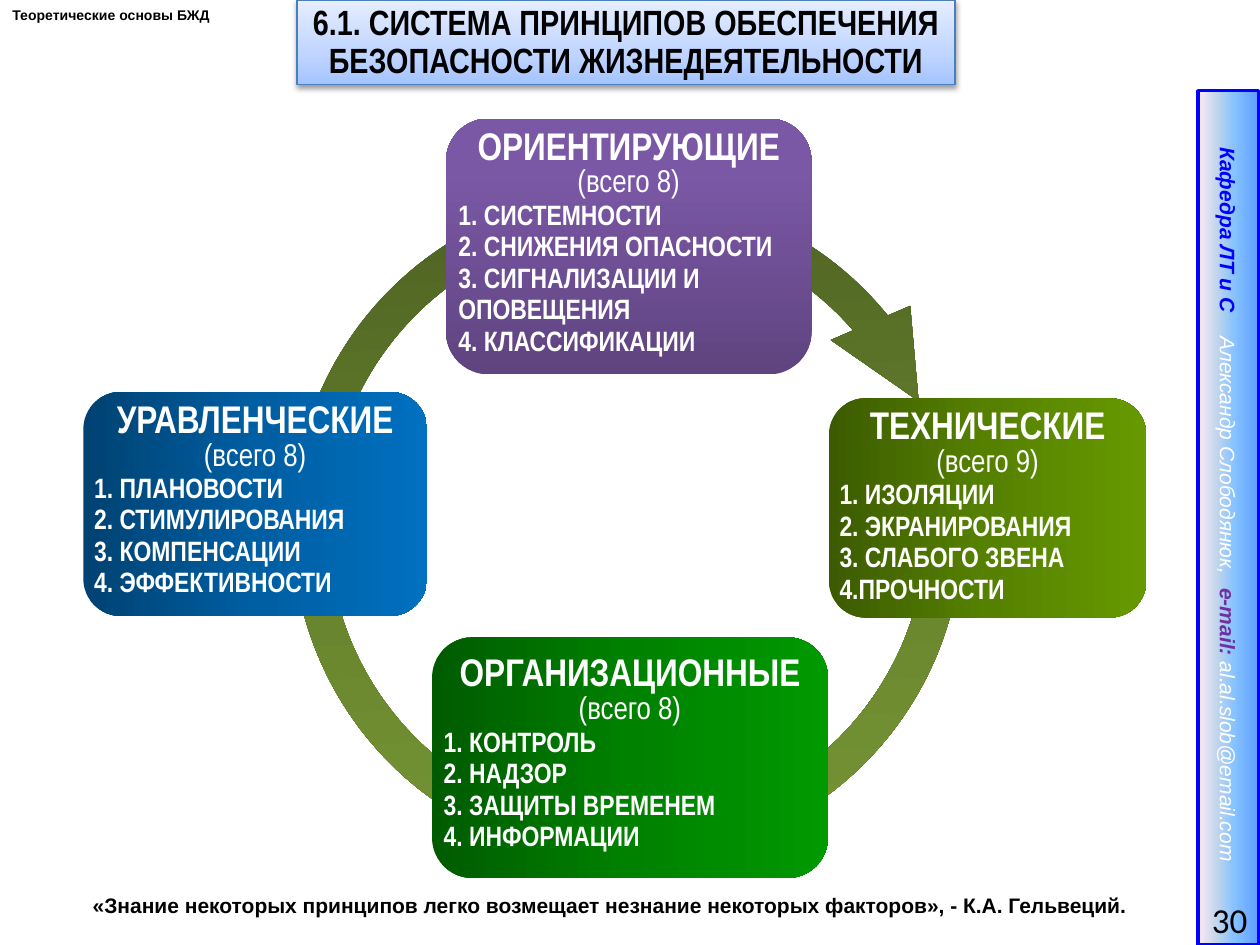
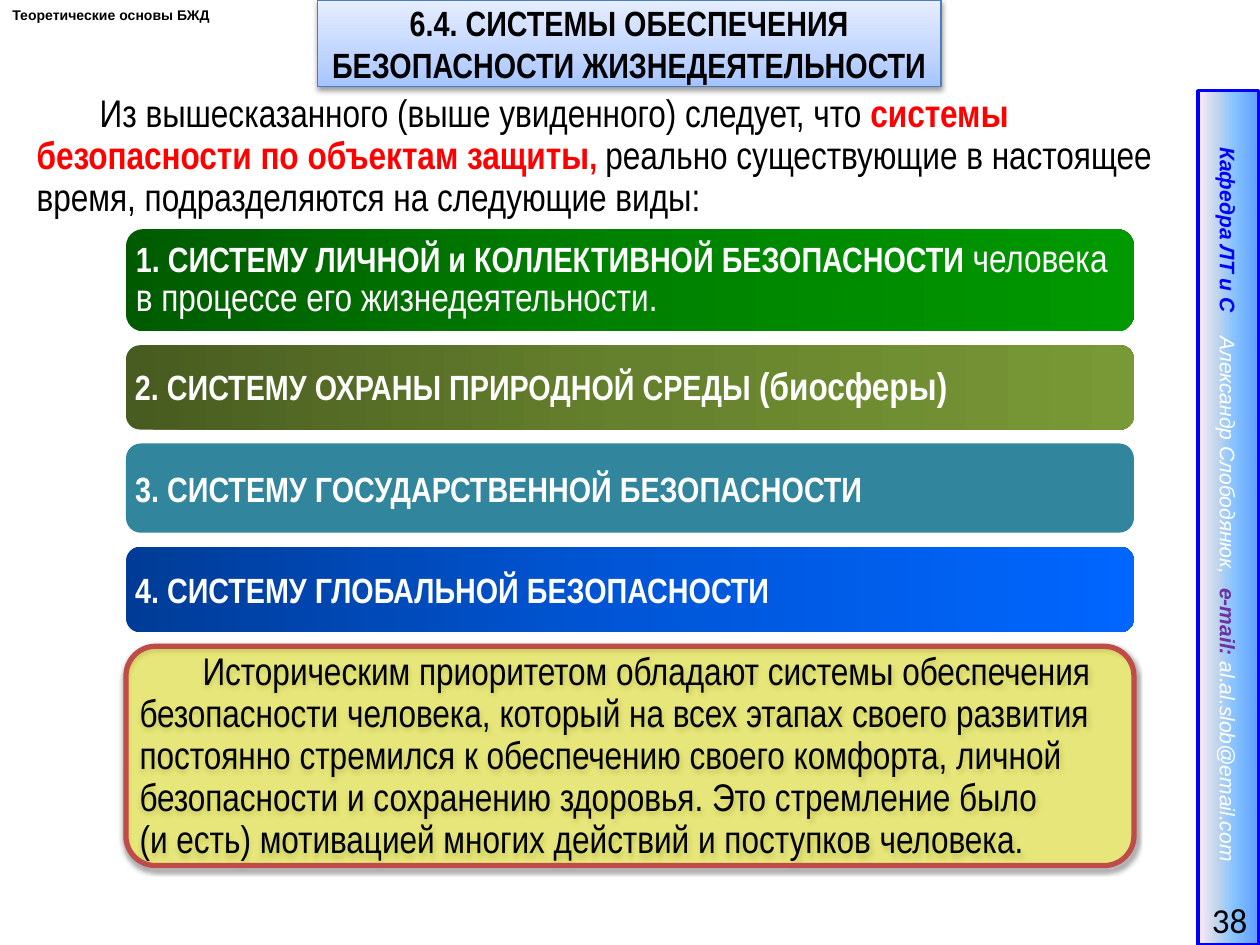
import pptx
import pptx.util
import pptx.dml.color
import pptx.enum.shapes
import pptx.enum.text
import pptx.oxml.ns
from lxml import etree

Cm, Pt = pptx.util.Cm, pptx.util.Pt
RGB = pptx.dml.color.RGBColor.from_string
SHAPE = pptx.enum.shapes.MSO_SHAPE
ALIGN = pptx.enum.text.PP_ALIGN
ANCHOR = pptx.enum.text.MSO_ANCHOR
qn = pptx.oxml.ns.qn

# ---- Shared look ----
COLORS = {"black": "000000", "white": "FFFFFF", "red": "FF0000", "blue": "0000FF",
          "violet": "7030A0", "teal": "31859C", "yellow": "FFFF00",
          "title line": "4B7EBC", "note line": "BF4C48"}
# name: (clockwise angle, [(position in %, colour), ...])
GRADIENTS = {
    "title": (270, [(0, "A4C4FF"), (35, "BFD4FF"), (100, "E6EEFF")]),
    "band": (90, [(0, "5E9EFF"), (40, "85C2FF"), (70, "C4D6EB"), (100, "FFEBFA")]),
    "olive": (0, [(0, "485B20"), (50, "66812D"), (100, "799936")]),
    "lime": (0, [(0, "3C5B00"), (50, "568100"), (100, "669900")]),
    "green": (0, [(0, "005B00"), (50, "008100"), (100, "009900")]),
    "navy": (0, [(0, "004272"), (50, "005EA2"), (100, "0070C0")]),
    "cobalt": (0, [(0, "003C97"), (50, "0056D7"), (100, "0066FF")]),
    "purple": (270, [(0, "5F4480"), (80, "7B58A6"), (100, "7C57A8")]),
}


def font(size, color="black", name="Arial Narrow", bold=False, italic=False):
    return {"size": Pt(size), "name": name, "bold": bold, "italic": italic,
            "color": color}


TITLE = font(20, bold=True)
BODY = font(22)
BAR = font(20, "white", bold=True)
HEADER = ("Теоретические основы БЖД", font(8, name="Arial", bold=True))
BAND = [("Кафедра ЛТ и С\t", font(12, "blue", "Arial", True, True)),
        ("Александр Слободянюк,\t", font(12, "white", "Arial", italic=True)),
        ("e-mail: ", font(12, "violet", "Arial", True, True)),
        ("al.al.slob@email.com", font(12, "white", "Arial", italic=True))]
BAND_TABS = [4.4, 9.42]

# ---- Slide 1: the cycle of principles ----
CYCLE = {
    "page": "30",
    "title": "6.1. СИСТЕМА ПРИНЦИПОВ ОБЕСПЕЧЕНИЯ БЕЗОПАСНОСТИ ЖИЗНЕДЕЯТЕЛЬНОСТИ",
    "title_at": (5.99, 0, 13.26, 1.7), "title_spacing": 22,
    "ring_at": (5.38, 3.35, 14.53, 14.53),
    "ring_adjust": (0.05, 9.99, 140.14, 172.77, 0.06),
    # heading, count, principles, gradient, place, top inset
    "groups": [
        ("ТЕХНИЧЕСКИЕ", "(всего 9)",
         ["1. ИЗОЛЯЦИИ", "2. ЭКРАНИРОВАНИЯ", "3. СЛАБОГО ЗВЕНА", "4.ПРОЧНОСТИ"],
         "lime", (16.71, 8.03, 6.4, 4.42), 0.1),
        ("ОРГАНИЗАЦИОННЫЕ", "(всего 8)",
         ["1. КОНТРОЛЬ", "2. НАДЗОР", "3. ЗАЩИТЫ ВРЕМЕНЕМ", "4. ИНФОРМАЦИИ"],
         "green", (8.71, 12.85, 7.98, 4.85), 0),
        ("УРАВЛЕНЧЕСКИЕ", "(всего 8)",
         ["1. ПЛАНОВОСТИ", "2. СТИМУЛИРОВАНИЯ", "3. КОМПЕНСАЦИИ", "4. ЭФФЕКТИВНОСТИ"],
         "navy", (1.68, 7.9, 6.93, 4.52), 0),
        ("ОРИЕНТИРУЮЩИЕ", "(всего 8)",
         ["1. СИСТЕМНОСТИ", "2. СНИЖЕНИЯ ОПАСНОСТИ", "3. СИГНАЛИЗАЦИИ И",
          "ОПОВЕЩЕНИЯ", "4. КЛАССИФИКАЦИИ"],
         "purple", (8.99, 2.39, 7.37, 5.16), 0),
    ],
    "quote": "«Знание некоторых принципов легко возмещает незнание некоторых "
             "факторов», - К.А. Гельвеций.",
}

# ---- Slide 2: the list of safety systems ----
SYSTEMS = {
    "page": "38",
    "title": "6.4. СИСТЕМЫ ОБЕСПЕЧЕНИЯ БЕЗОПАСНОСТИ ЖИЗНЕДЕЯТЕЛЬНОСТИ",
    "title_at": (6.4, 0, 12.57, 1.75), "title_spacing": 24,
    "intro": [("Из вышесказанного (выше увиденного) следует, что ", BODY),
              ("системы безопасности по объектам защиты", font(22, "red", bold=True)),
              (", ", font(20, "red", bold=True)),
              ("реально существующие в настоящее время, подразделяются на "
               "следующие виды:", BODY)],
    # runs, fill, height, line spacing
    "bars": [
        ([("1. СИСТЕМУ ЛИЧНОЙ и КОЛЛЕКТИВНОЙ БЕЗОПАСНОСТИ ", BAR),
          ("человека в процессе его жизнедеятельности.", font(22, "white"))],
         "green", 2.06, 22),
        ([("2. СИСТЕМУ ОХРАНЫ ПРИРОДНОЙ СРЕДЫ ", BAR),
          ("(биосферы)", font(22, "white", bold=True))], "olive", 1.7, 24),
        ([("3. СИСТЕМУ ГОСУДАРСТВЕННОЙ БЕЗОПАСНОСТИ", BAR)], "teal", 1.8, 24),
        ([("4. СИСТЕМУ ГЛОБАЛЬНОЙ БЕЗОПАСНОСТИ", BAR)], "cobalt", 1.73, 24),
    ],
    "note": ["Историческим приоритетом обладают системы обеспечения безопасности "
             "человека, который на всех этапах своего развития постоянно стремился к "
             "обеспечению своего комфорта, личной безопасности и сохранению здоровья. "
             "Это стремление было",
             "(и есть) мотивацией многих действий и поступков человека."],
}
BARS_LEFT, BARS_TOP, BARS_WIDTH, BARS_GAP, NOTE_HEIGHT = 2.54, 4.62, 20.32, 0.28, 4.42


# ---- Helpers ----
def place(sp, at):
    for side, value in zip(("left", "top", "width", "height"), at):
        setattr(sp, side, Cm(value))


def paint(sp, fill, line=None, width=0):
    if fill in GRADIENTS:
        angle, stops = GRADIENTS[fill]
        sp.fill.gradient()
        sp.fill.gradient_angle = (360 - angle) % 360
        gs_list = next(sp._element.spPr.iter(qn("a:gsLst")))
        for gs in list(gs_list):
            gs_list.remove(gs)
        for position, color in stops:
            gs = etree.SubElement(gs_list, qn("a:gs"), pos=str(position * 1000))
            etree.SubElement(gs, qn("a:srgbClr"), val=color)
    else:
        sp.fill.solid()
        sp.fill.fore_color.rgb = RGB(COLORS[fill])
    if line:
        sp.line.color.rgb = RGB(COLORS[line])
        sp.line.width = Pt(width)
    else:
        sp.line.fill.background()
    sp.shadow.inherit = False


def drop_shadow(sp):
    effects = sp._element.spPr.find(qn("a:effectLst"))
    shadow = etree.SubElement(effects, qn("a:outerShdw"), blurRad="40000", dist="20000",
                              dir="5400000", rotWithShape="0")
    color = etree.SubElement(shadow, qn("a:srgbClr"), val=COLORS["black"])
    etree.SubElement(color, qn("a:alpha"), val="38000")


def para(runs, align=ALIGN.LEFT, spacing=None, indent=0, tabs=()):
    return {"runs": runs, "indent": indent, "tabs": tabs,
            "format": {"alignment": align, "space_before": Pt(0),
                       "line_spacing": Pt(spacing) if spacing else None}}


def write(sp, paras, inset=(0.25, 0.13, 0.25, 0.13), anchor=ANCHOR.MIDDLE, wrap=True):
    tf = sp.text_frame
    tf.word_wrap = wrap
    tf.auto_size = pptx.enum.text.MSO_AUTO_SIZE.NONE
    tf.vertical_anchor = anchor
    for side, value in zip(("left", "top", "right", "bottom"), inset):
        setattr(tf, "margin_" + side, Cm(value))
    for i, item in enumerate(paras):
        p = tf.paragraphs[0] if i == 0 else tf.add_paragraph()
        pPr = p._p.get_or_add_pPr()
        pPr.set("marL", "0")
        pPr.set("indent", str(Cm(item["indent"])))
        etree.SubElement(pPr, qn("a:buNone"))
        if item["tabs"]:
            tab_list = etree.SubElement(pPr, qn("a:tabLst"))
            for stop in item["tabs"]:
                etree.SubElement(tab_list, qn("a:tab"), pos=str(Cm(stop)), algn="l")
        for key, value in item["format"].items():
            setattr(p, key, value)
        for text, style in item["runs"]:
            r = p.add_run()
            r.text = text
            for key, value in style.items():
                if key == "color":
                    r.font.color.rgb = RGB(COLORS[value])
                else:
                    setattr(r.font, key, value)


def add_box(slide, kind, at, *look):
    sp = slide.shapes.add_shape(kind, *map(Cm, at))
    paint(sp, *look)
    return sp


def add_text(slide, at, paras, **options):
    write(slide.shapes.add_textbox(*map(Cm, at)), paras, **options)


THIN = (0.1,) * 4


def start_slide(prs, layout, content):
    """Add a slide with its title plate, header, side band and page number."""
    slide = prs.slides.add_slide(prs.slide_layouts[layout])
    sp = slide.shapes.title
    place(sp, content["title_at"])
    geometry = etree.Element(qn("a:prstGeom"), prst="roundRect")
    etree.SubElement(geometry, qn("a:avLst"))
    sp._element.spPr.insert(1, geometry)
    paint(sp, "title", "title line", 0.75)
    drop_shadow(sp)
    write(sp, [para([(content["title"], TITLE)], ALIGN.CENTER,
                    content["title_spacing"])], THIN)

    add_text(slide, (0, 0, 4.55, 0.61), [para([HEADER])], anchor=ANCHOR.TOP, wrap=False)
    band = add_box(slide, SHAPE.RECTANGLE, (16.15, 9.83, 17.22, 1.22), "band", "blue", 2)
    band.rotation = 90
    write(band, [para(BAND, tabs=BAND_TABS)], (1.14, 0.13, 0.25, 0.13))
    add_text(slide, (23.42, 18.03, 1.98, 1.02),
             [para([(content["page"], font(20, name="Calibri"))], ALIGN.RIGHT)])
    return slide


# ---- Slides ----
def build_cycle(prs):
    slide = start_slide(prs, 5, CYCLE)
    ring = add_box(slide, SHAPE.CIRCULAR_ARROW, CYCLE["ring_at"], "olive")
    ring.rotation = 86.5
    for i, value in enumerate(CYCLE["ring_adjust"]):
        ring.adjustments[i] = value

    for heading, count, principles, fill, at, top in CYCLE["groups"]:
        sp = add_box(slide, SHAPE.ROUNDED_RECTANGLE, at, fill)
        paras = [para([(heading, font(22, "white", bold=True))], ALIGN.CENTER, 18),
                 para([(count, font(18, "white"))], ALIGN.CENTER, 18)]
        paras += [para([(text, font(16, "white", bold=True))], spacing=18)
                  for text in principles]
        write(sp, paras, (0, top, 0, 0))

    add_text(slide, (0, 17.86, 24, 0.76),
             [para([(CYCLE["quote"], font(12, name="Arial", bold=True))],
                   ALIGN.JUSTIFY, indent=1.62)])


def build_systems(prs):
    slide = start_slide(prs, 1, SYSTEMS)
    intro = slide.placeholders[1]
    place(intro, (0.64, 1.78, 23.11, 2.82))
    write(intro, [para(SYSTEMS["intro"], spacing=24, indent=1.27)], THIN, ANCHOR.TOP)

    top = BARS_TOP
    for runs, fill, height, spacing in SYSTEMS["bars"]:
        sp = add_box(slide, SHAPE.ROUNDED_RECTANGLE,
                     (BARS_LEFT, top, BARS_WIDTH, height), fill)
        write(sp, [para(runs, spacing=spacing)], THIN)
        top += height + BARS_GAP

    # Translucent note under the bars
    note = add_box(slide, SHAPE.ROUNDED_RECTANGLE,
                   (BARS_LEFT, top, BARS_WIDTH, NOTE_HEIGHT), "yellow", "note line", 3)
    note.adjustments[0] = 0.135
    color = note._element.spPr.find(qn("a:solidFill")).find(qn("a:srgbClr"))
    etree.SubElement(color, qn("a:alpha"), val="42000")
    drop_shadow(note)
    write(note, [para([(text, BODY)], spacing=24, indent=indent)
                 for text, indent in zip(SYSTEMS["note"], (1.27, 0))], THIN)


def main():
    prs = pptx.Presentation()
    prs.slide_width, prs.slide_height = Cm(25.4), Cm(19.05)
    build_cycle(prs)
    build_systems(prs)
    prs.save("out.pptx")


if __name__ == "__main__":
    main()
